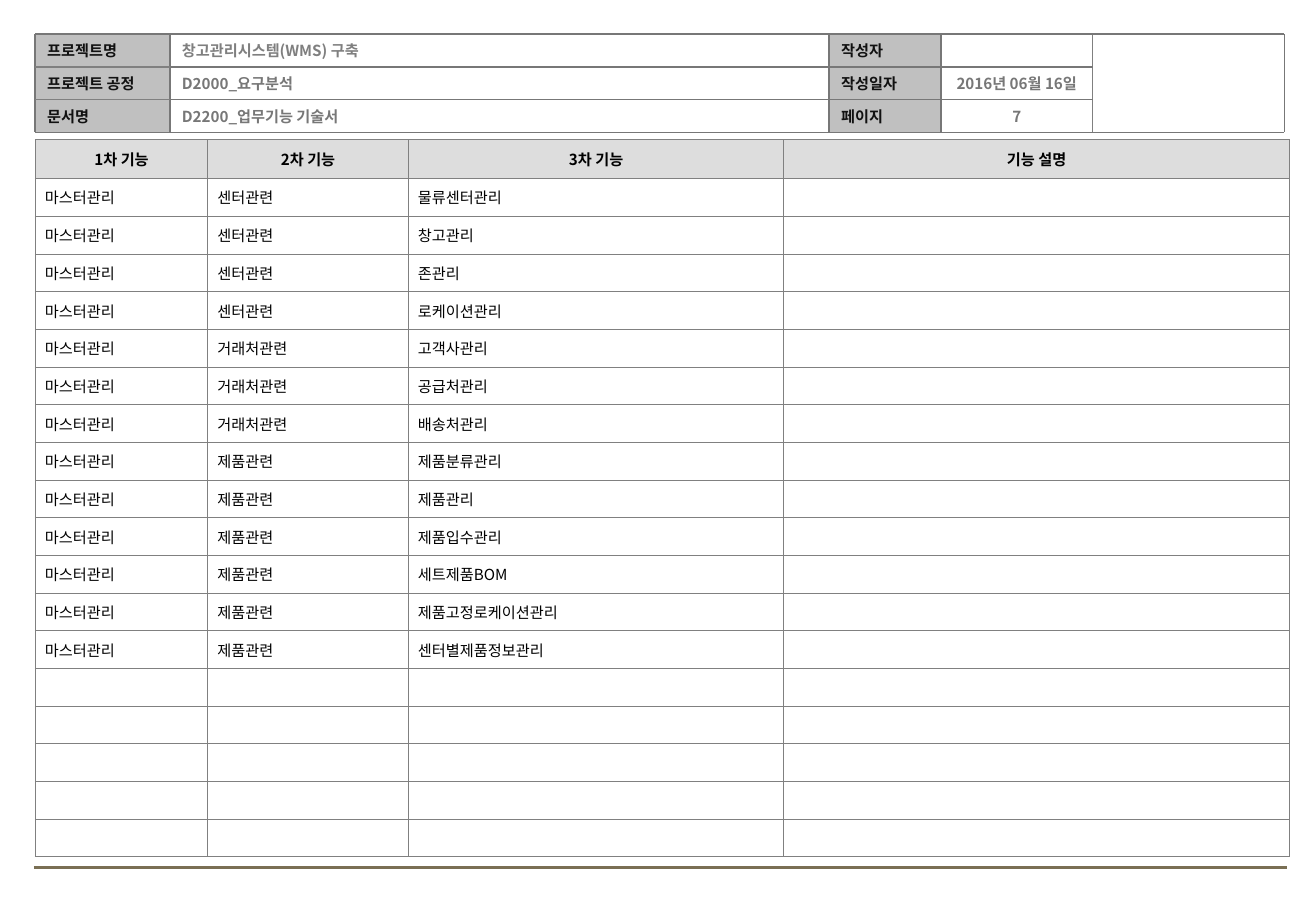
from lxml.etree import SubElement
from pptx import Presentation
from pptx.dml.color import RGBColor
from pptx.enum.shapes import MSO_CONNECTOR, MSO_SHAPE
from pptx.enum.text import MSO_ANCHOR, PP_ALIGN
from pptx.oxml.ns import qn
from pptx.util import Inches, Pt

FONT = "Noto Sans CJK KR"
COLORS = {
    "label_fill": "C0C0C0", "label_text": "111111", "project_text": "7F7F7F",
    "value_text": "777777", "rule": "777777", "light_rule": "808080",
    "head_fill": "DDDDDD", "table_text": "000000", "footer": "7A6F54",
}
HEADER_EDGES = [0, 1.11, 6.54, 7.46, 8.71, 10.29]
HEADER_ROW = 0.27
HEADER_ROWS = [
    ("프로젝트명", "창고관리시스템(WMS) 구축", "작성자", ""),
    ("프로젝트 공정", "D2000_요구분석", "작성일자", "2016년 06월 16일"),
    ("문서명", "D2200_업무기능 기술서", "페이지", "7"),
]
TABLE_HEADINGS = ["1차 기능", "2차 기능", "3차 기능", "기능 설명"]
TABLE_WIDTHS = [1.42, 1.65, 3.09, 4.16]
TABLE_ROWS = 19
TABLE_HEAD_HEIGHT = 0.32
MASTER_FUNCTION = "마스터관리"
FUNCTIONS = {
    "센터관련": ["물류센터관리", "창고관리", "존관리", "로케이션관리"],
    "거래처관련": ["고객사관리", "공급처관리", "배송처관리"],
    "제품관련": ["제품분류관리", "제품관리", "제품입수관리", "세트제품BOM",
             "제품고정로케이션관리", "센터별제품정보관리"],
}


def color(name):
    """Return the named colour."""
    return RGBColor.from_string(COLORS[name])


def write_text(paragraph, text, color_name, bold=False, align=PP_ALIGN.LEFT):
    """Write one formatted run, or only a text size if there is no text."""
    if not text:
        SubElement(paragraph._p, qn("a:endParaRPr"), sz="900")
        return
    paragraph.alignment = align
    run = paragraph.add_run()
    run.text = text
    for attribute, value in {"name": FONT, "size": Pt(9), "bold": bold}.items():
        setattr(run.font, attribute, value)
    run.font.color.rgb = color(color_name)
    SubElement(run.font._element, qn("a:ea"), typeface=FONT)


def set_frame(frame, side_margin):
    """Centre text vertically and set the margins of a text frame."""
    margins = {"margin_left": side_margin, "margin_right": side_margin,
               "margin_top": 0.05, "margin_bottom": 0.05}
    for attribute, value in margins.items():
        setattr(frame, attribute, Inches(value))
    frame.vertical_anchor = MSO_ANCHOR.MIDDLE
    frame.word_wrap = True


def add_label(slide, box, text):
    """Add a grey label cell."""
    shape = slide.shapes.add_shape(MSO_SHAPE.RECTANGLE, *map(Inches, box))
    shape.shadow.inherit = False
    shape.fill.solid()
    shape.fill.fore_color.rgb = color("label_fill")
    shape.line.fill.background()
    set_frame(shape.text_frame, 0.1)
    write_text(shape.text_frame.paragraphs[0], text, "label_text", bold=True)


def add_value(slide, box, text, color_name, align=PP_ALIGN.LEFT):
    """Add the text of a value cell."""
    frame = slide.shapes.add_textbox(*map(Inches, box)).text_frame
    set_frame(frame, 0 if align == PP_ALIGN.CENTER else 0.1)
    write_text(frame.paragraphs[0], text, color_name, bold=True, align=align)


def add_rule(slide, ends, color_name="rule", width=1):
    """Add a straight line between two points."""
    line = slide.shapes.add_connector(MSO_CONNECTOR.STRAIGHT, *map(Inches, ends))
    line.line.color.rgb = color(color_name)
    line.line.width = Pt(width)
    SubElement(line._element.spPr, qn("a:effectLst"))


def add_document_header(slide, left, top):
    """Add the document information block with its ruling."""
    edges = [left + edge for edge in HEADER_EDGES]
    widths = [end - start for start, end in zip(edges, edges[1:])]
    bottom = top + HEADER_ROW * len(HEADER_ROWS)
    for index, texts in enumerate(HEADER_ROWS):
        row_top = top + index * HEADER_ROW
        boxes = [(x, row_top, width, HEADER_ROW) for x, width in zip(edges, widths)]
        add_label(slide, boxes[0], texts[0])
        add_value(slide, boxes[1], texts[1], "value_text" if index else "project_text")
        add_label(slide, boxes[2], texts[2])
        if texts[3]:
            add_value(slide, boxes[3], texts[3], "value_text", PP_ALIGN.CENTER)
    for index, x in enumerate(edges):
        add_rule(slide, (x, top, x, bottom), "light_rule" if index == 4 else "rule")
    for index in range(1, len(HEADER_ROWS)):
        y = top + index * HEADER_ROW
        add_rule(slide, (edges[0], y, edges[1], y), "light_rule")
        add_rule(slide, (edges[1], y, edges[4], y))
    for y in (top, bottom):
        add_rule(slide, (edges[0], y, edges[-1], y))


def format_cell(cell, text, is_heading):
    """Format one cell of the function table."""
    properties = cell._tc.get_or_add_tcPr()
    for side in ("lnL", "lnR", "lnT", "lnB"):
        border = SubElement(properties, qn(f"a:{side}"), w=str(Pt(0.45)))
        fill = SubElement(border, qn("a:solidFill"))
        SubElement(fill, qn("a:srgbClr"), val=COLORS["light_rule"])
    if is_heading:
        cell.fill.solid()
        cell.fill.fore_color.rgb = color("head_fill")
    else:
        cell.fill.background()
    cell.vertical_anchor = MSO_ANCHOR.MIDDLE
    cell.margin_left = cell.margin_right = Inches(0.08)
    align = PP_ALIGN.CENTER if is_heading else PP_ALIGN.LEFT
    write_text(cell.text_frame.paragraphs[0], text, "table_text", is_heading, align)


def add_function_table(slide, left, top, width, height):
    """Add the table of functions, with spare rows below the entries."""
    rows = [TABLE_HEADINGS]
    rows += [[MASTER_FUNCTION, group, name, ""]
             for group, names in FUNCTIONS.items() for name in names]
    rows += [[""] * len(TABLE_HEADINGS)] * (TABLE_ROWS - len(rows))
    box = map(Inches, (left, top, width, height))
    table = slide.shapes.add_table(TABLE_ROWS, len(TABLE_HEADINGS), *box).table
    table.first_row = table.horz_banding = False
    for column, share in zip(table.columns, TABLE_WIDTHS):
        column.width = Inches(width * share / sum(TABLE_WIDTHS))
    body_height = (height - TABLE_HEAD_HEIGHT) / (TABLE_ROWS - 1)
    for index, texts in enumerate(rows):
        table.rows[index].height = Inches(body_height if index else TABLE_HEAD_HEIGHT)
        for cell, text in zip(table.rows[index].cells, texts):
            format_cell(cell, text, index == 0)


def main():
    """Build the function description slide."""
    presentation = Presentation()
    presentation.slide_width = Inches(10.84)
    presentation.slide_height = Inches(7.5)
    slide = presentation.slides.add_slide(presentation.slide_layouts[6])
    add_rule(slide, (0.28, 7.14, 10.6, 7.14), "footer", 1.75)
    add_document_header(slide, 0.29, 0.28)
    add_function_table(slide, 0.29, 1.15, 10.33, 5.91)
    presentation.save("out.pptx")


if __name__ == "__main__":
    main()
